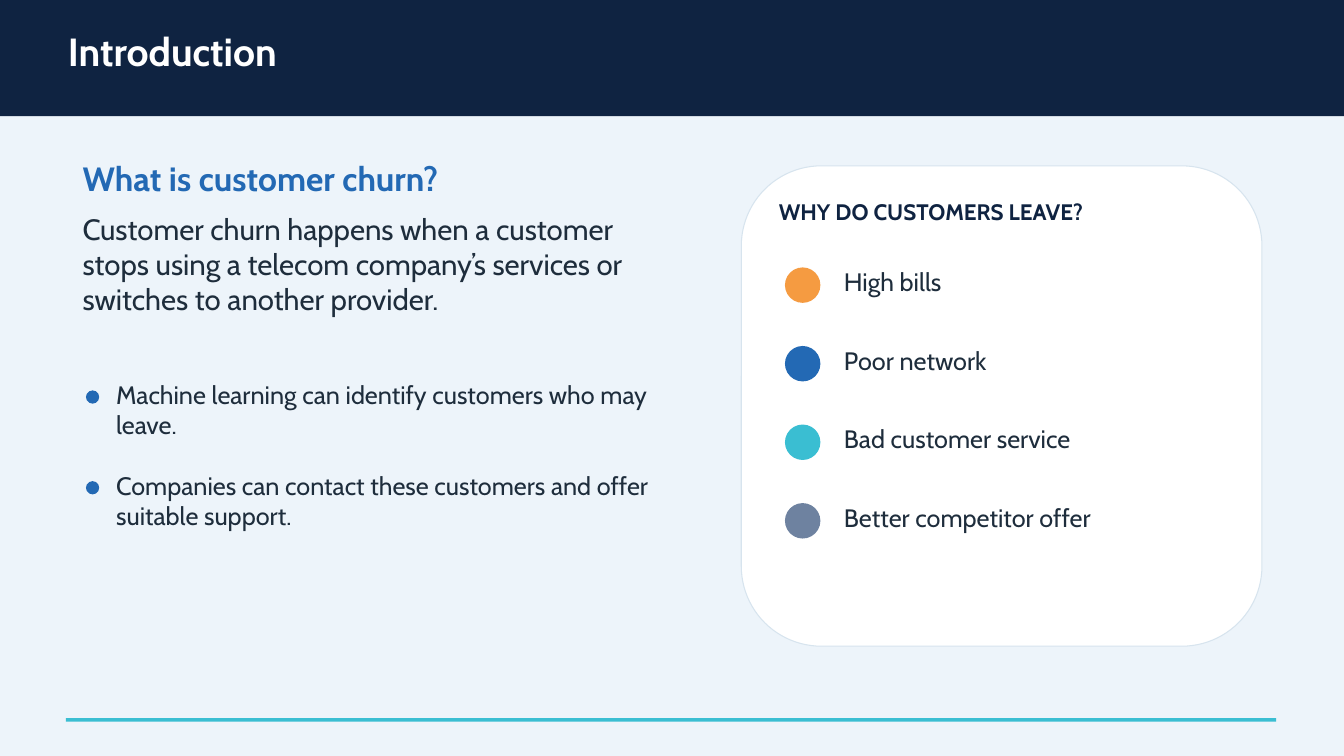
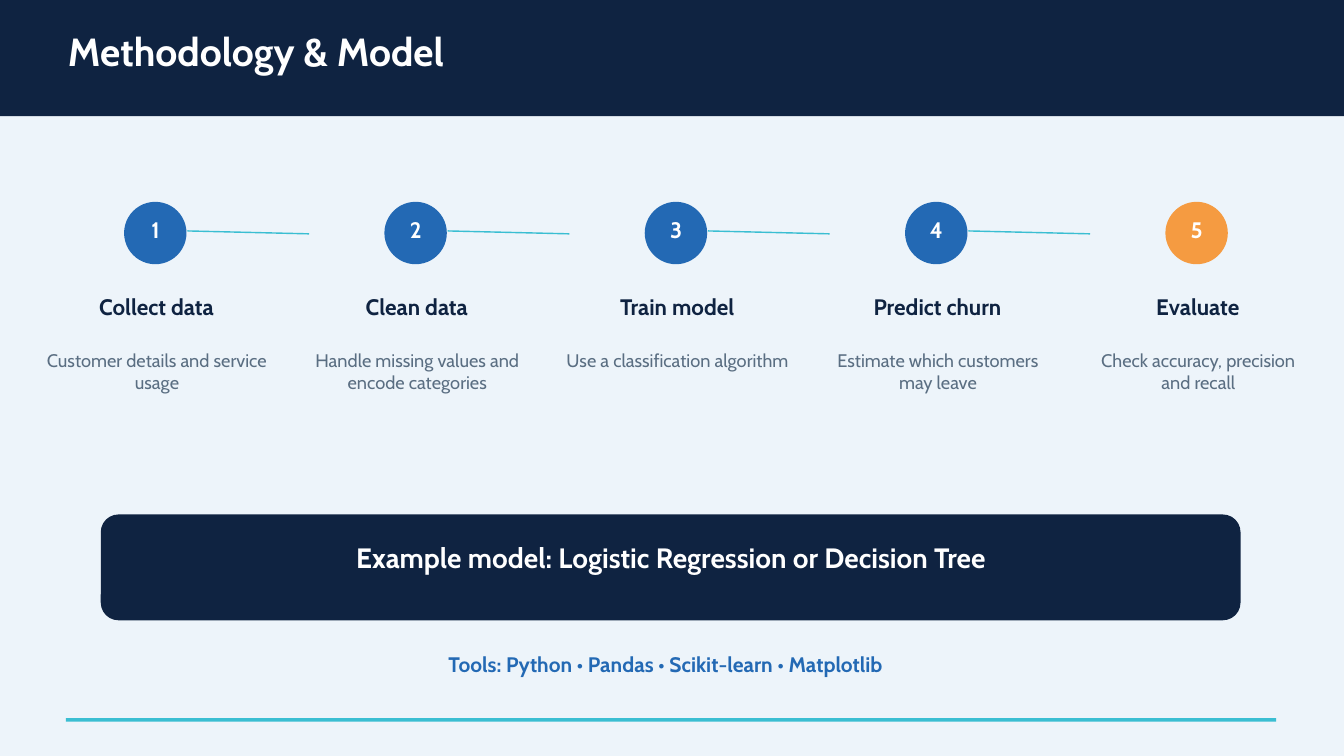
from dataclasses import dataclass

import lxml.etree
import pptx
import pptx.dml.color
import pptx.enum.shapes
import pptx.enum.text
import pptx.oxml.ns
import pptx.presentation
import pptx.shapes.autoshape
import pptx.slide
import pptx.util

Cm = pptx.util.Cm
Pt = pptx.util.Pt
RGBColor = pptx.dml.color.RGBColor
MSO_SHAPE = pptx.enum.shapes.MSO_SHAPE
PP_ALIGN = pptx.enum.text.PP_ALIGN

# Palette and type
PALE = RGBColor(0xED, 0xF4, 0xFA)
NAVY = RGBColor(0x0F, 0x23, 0x41)
BLUE = RGBColor(0x23, 0x69, 0xB4)
TEAL = RGBColor(0x3A, 0xBE, 0xD2)
ORANGE = RGBColor(0xF5, 0x9B, 0x41)
SLATE = RGBColor(0x6E, 0x82, 0xA0)
INK = RGBColor(0x1E, 0x2D, 0x3C)
GREY = RGBColor(0x5A, 0x6E, 0x82)
BORDER = RGBColor(0xD7, 0xE4, 0xEE)
WHITE = RGBColor(0xFF, 0xFF, 0xFF)
FONT = "Cabin"
LEADING = 1.2

SLIDE_W, SLIDE_H = 50.8, 28.58


@dataclass(frozen=True)
class Box:
    """A rectangle in centimetres."""
    left: float
    top: float
    width: float
    height: float

    def moved(self, dx: float = 0, dy: float = 0) -> "Box":
        return Box(self.left + dx, self.top + dy, self.width, self.height)

    def lengths(self) -> tuple[int, ...]:
        return tuple(Cm(v) for v in (self.left, self.top, self.width, self.height))


@dataclass(frozen=True)
class Reason:
    label: str
    color: RGBColor


@dataclass(frozen=True)
class Bullet:
    text: str
    width: float
    height: float


@dataclass(frozen=True)
class Step:
    title: str
    detail: str
    color: RGBColor = BLUE


REASONS = [
    Reason("High bills", ORANGE),
    Reason("Poor network", BLUE),
    Reason("Bad customer service", TEAL),
    Reason("Better competitor offer", SLATE),
]
BULLETS = [
    Bullet("Machine learning can identify customers who may leave.", 20.9, 2.39),
    Bullet("Companies can contact these customers and offer suitable support.",
           21.29, 3.71),
]
STEPS = [
    Step("Collect data", "Customer details and service usage"),
    Step("Clean data", "Handle missing values and encode categories"),
    Step("Train model", "Use a classification algorithm"),
    Step("Predict churn", "Estimate which customers may leave"),
    Step("Evaluate", "Check accuracy, precision and recall", ORANGE),
]
REASON_PITCH = 2.97
BULLET_PITCH = 3.43
STEP_PITCH = 9.84


# Drawing helpers
def add_text(slide: pptx.slide.Slide, box: Box, text: str, *, size: float,
             color: RGBColor, bold: bool = False, center: bool = False) -> None:
    tf = slide.shapes.add_textbox(*box.lengths()).text_frame
    tf.margin_left = tf.margin_top = tf.margin_right = tf.margin_bottom = 0
    tf.word_wrap = True
    tf.auto_size = pptx.enum.text.MSO_AUTO_SIZE.SHAPE_TO_FIT_TEXT
    p = tf.paragraphs[0]
    p.alignment = PP_ALIGN.CENTER if center else PP_ALIGN.LEFT
    p.line_spacing = Pt(size * LEADING)
    r = p.add_run()
    r.text = text
    r.font.name = FONT
    r.font.size = Pt(size)
    r.font.bold = bold
    r.font.color.rgb = color


def add_shape(slide: pptx.slide.Slide, kind: MSO_SHAPE, box: Box,
              fill: RGBColor) -> pptx.shapes.autoshape.Shape:
    sp = slide.shapes.add_shape(kind, *box.lengths())
    sp.shadow.inherit = False
    sp.fill.solid()
    sp.fill.fore_color.rgb = fill
    sp.line.fill.background()
    return sp


def add_link(slide: pptx.slide.Slide, x1: float, y1: float,
             x2: float, y2: float) -> None:
    cxn = slide.shapes.add_connector(
        pptx.enum.shapes.MSO_CONNECTOR.STRAIGHT, Cm(x1), Cm(y1), Cm(x2), Cm(y2))
    cxn.line.color.rgb = TEAL
    cxn.line.width = Pt(1.5)
    sp_pr = cxn._element.find(pptx.oxml.ns.qn("p:spPr"))
    lxml.etree.SubElement(sp_pr, pptx.oxml.ns.qn("a:effectLst"))


def add_slide(prs: pptx.presentation.Presentation, title: str) -> pptx.slide.Slide:
    """Blank slide with the shared background, title band and footer rule."""
    slide = prs.slides.add_slide(prs.slide_layouts[6])
    slide.background.fill.solid()
    slide.background.fill.fore_color.rgb = PALE
    add_shape(slide, MSO_SHAPE.RECTANGLE, Box(0, 0, SLIDE_W, 4.39), NAVY)
    add_text(slide, Box(2.57, 1.02, 44.07, 2.26), title,
             size=42, color=WHITE, bold=True)
    add_shape(slide, MSO_SHAPE.RECTANGLE, Box(2.49, 27.15, 45.75, 0.13), TEAL)
    return slide


# Slides
def build_introduction(prs: pptx.presentation.Presentation) -> None:
    slide = add_slide(prs, "Introduction")
    add_text(slide, Box(3.12, 5.97, 22.73, 1.63), "What is customer churn?",
             size=36, color=BLUE, bold=True)
    add_text(slide, Box(3.12, 7.98, 22.73, 4.47),
             "Customer churn happens when a customer stops using a telecom "
             "company’s services or switches to another provider.",
             size=31.5, color=INK)

    # Card with the reasons for leaving
    card = add_shape(slide, MSO_SHAPE.ROUNDED_RECTANGLE,
                     Box(28.02, 6.27, 19.68, 18.16), WHITE)
    card.line.color.rgb = BORDER
    card.line.width = Pt(1.13)
    add_text(slide, Box(29.44, 7.49, 17.02, 1.42), "WHY DO CUSTOMERS LEAVE?",
             size=24, color=NAVY, bold=True)
    for i, reason in enumerate(REASONS):
        dy = i * REASON_PITCH
        add_shape(slide, MSO_SHAPE.OVAL,
                  Box(29.67, 10.11, 1.34, 1.34).moved(dy=dy), reason.color)
        add_text(slide, Box(31.9, 10.08, 13.56, 1.42).moved(dy=dy), reason.label,
                 size=27, color=INK)

    # Bulleted statements
    for i, bullet in enumerate(BULLETS):
        dy = i * BULLET_PITCH
        add_shape(slide, MSO_SHAPE.OVAL,
                  Box(3.25, 14.76, 0.5, 0.5).moved(dy=dy), BLUE)
        add_text(slide, Box(4.39, 14.35, bullet.width, bullet.height).moved(dy=dy),
                 bullet.text, size=27, color=INK)


def build_methodology(prs: pptx.presentation.Presentation) -> None:
    slide = add_slide(prs, "Methodology & Model")

    # Numbered steps, each linked towards the next
    for i, step in enumerate(STEPS):
        dx = i * STEP_PITCH
        add_shape(slide, MSO_SHAPE.OVAL,
                  Box(4.69, 7.63, 2.36, 2.36).moved(dx), step.color)
        add_text(slide, Box(4.77, 8.18, 2.21, 0.86).moved(dx), str(i + 1),
                 size=24, color=WHITE, bold=True, center=True)
        if i < len(STEPS) - 1:
            add_link(slide, 7.08 + dx, 8.73, 11.68 + dx, 8.84)
        add_text(slide, Box(2.18, 11.1, 7.47, 1.63).moved(dx), step.title,
                 size=24, color=NAVY, bold=True, center=True)
        add_text(slide, Box(1.72, 13.21, 8.43, 3.71).moved(dx), step.detail,
                 size=19.5, color=GREY, center=True)

    # Model banner and tools
    add_shape(slide, MSO_SHAPE.ROUNDED_RECTANGLE,
              Box(3.81, 19.45, 43.08, 4), NAVY)
    add_text(slide, Box(5.23, 20.45, 40.26, 1.63),
             "Example model: Logistic Regression or Decision Tree",
             size=30, color=WHITE, bold=True, center=True)
    add_text(slide, Box(3.89, 24.64, 42.55, 1.04),
             "Tools: Python • Pandas • Scikit-learn • Matplotlib",
             size=22.5, color=BLUE, bold=True, center=True)


def main() -> None:
    prs = pptx.Presentation()
    prs.slide_width, prs.slide_height = Cm(SLIDE_W), Cm(SLIDE_H)
    build_introduction(prs)
    build_methodology(prs)
    prs.save("out.pptx")


if __name__ == "__main__":
    main()
